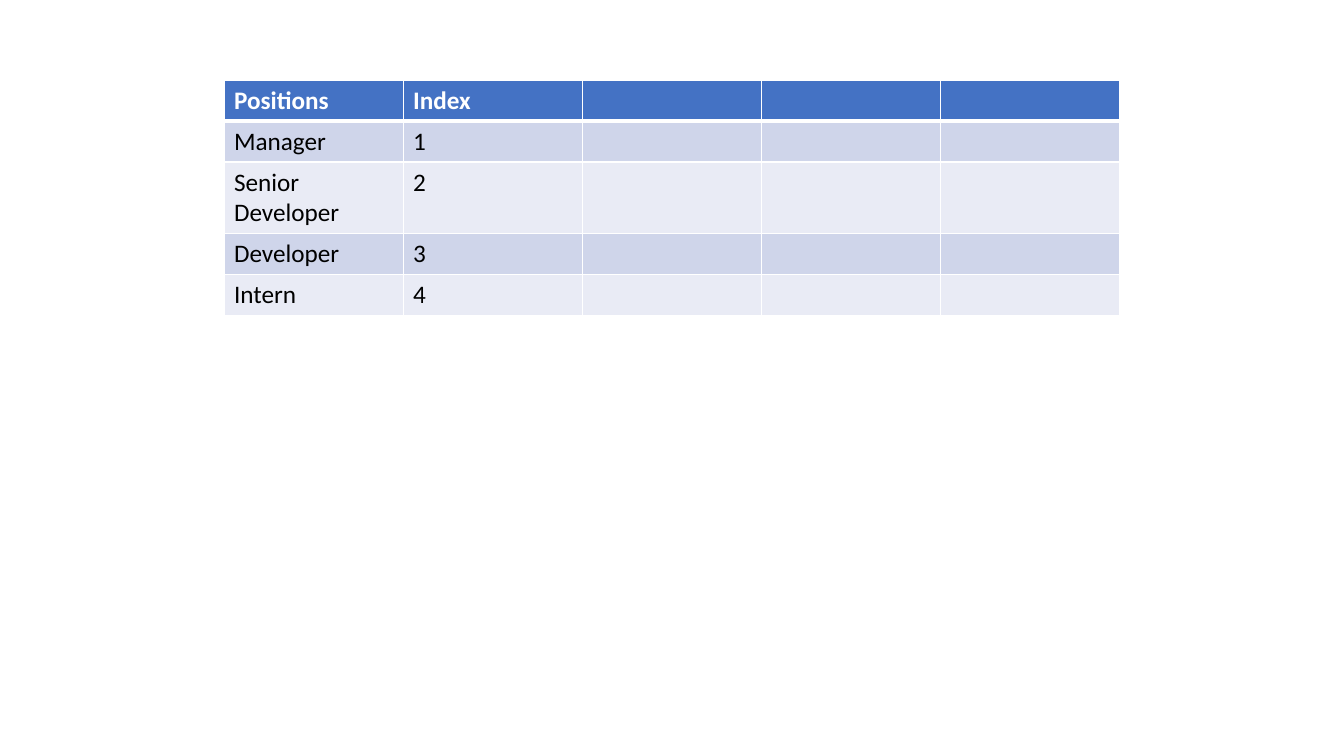
from dataclasses import dataclass

from lxml.etree import SubElement
from pptx import Presentation
from pptx.dml.color import RGBColor
from pptx.oxml.ns import qn
from pptx.util import Emu, Pt

POSITIONS = [
    ("Positions", "Index"),
    ("Manager", "1"),
    ("Senior Developer", "2"),
    ("Developer", "3"),
    ("Intern", "4"),
]
COLUMNS = 5

SLIDE_WIDTH, SLIDE_HEIGHT = 1344, 756
TABLE_LEFT, TABLE_TOP, TABLE_WIDTH = 224, 80, 896
ROW_HEIGHT = 41
EMU_PER_PX = 914400 / 100.8


@dataclass(frozen=True)
class Theme:
    font: str = "Calibri"
    size: int = 18
    header_fill: str = "4472C4"
    header_text: str = "FFFFFF"
    body_fills: tuple = ("CFD5EA", "E9EBF5")
    body_text: str = "000000"
    border: str = "FFFFFF"
    border_width: int = 1
    header_rule_width: int = 3


THEME = Theme()


def px(length):
    return Emu(round(length * EMU_PER_PX))


def set_borders(cell, top, bottom):
    """Draw all four cell borders; top and bottom are widths in points."""
    side = THEME.border_width
    properties = cell._tc.get_or_add_tcPr()
    for tag, width in (("lnL", side), ("lnR", side), ("lnT", top), ("lnB", bottom)):
        line = SubElement(properties, qn(f"a:{tag}"), w=str(Pt(width)))
        fill = SubElement(line, qn("a:solidFill"))
        SubElement(fill, qn("a:srgbClr"), val=THEME.border)


def style_cell(cell, row):
    is_header = row == 0
    rule, thin = THEME.header_rule_width, THEME.border_width
    set_borders(cell, rule if row == 1 else thin, rule if is_header else thin)

    fill = THEME.header_fill if is_header else THEME.body_fills[(row - 1) % 2]
    cell.fill.solid()
    cell.fill.fore_color.rgb = RGBColor.from_string(fill)

    font = cell.text_frame.paragraphs[0].font
    font.name = THEME.font
    font.size = Pt(THEME.size)
    font.bold = is_header
    text_color = THEME.header_text if is_header else THEME.body_text
    font.color.rgb = RGBColor.from_string(text_color)


def add_positions_table(slide):
    rows = len(POSITIONS)
    table = slide.shapes.add_table(
        rows, COLUMNS, px(TABLE_LEFT), px(TABLE_TOP),
        px(TABLE_WIDTH), px(rows * ROW_HEIGHT),
    ).table
    for column in table.columns:
        column.width = px(TABLE_WIDTH / COLUMNS)
    for row, entry in enumerate(POSITIONS):
        table.rows[row].height = px(ROW_HEIGHT)
        for column in range(COLUMNS):
            cell = table.cell(row, column)
            if column < len(entry):
                cell.text = entry[column]
            style_cell(cell, row)


def main():
    deck = Presentation()
    deck.slide_width, deck.slide_height = px(SLIDE_WIDTH), px(SLIDE_HEIGHT)
    slide = deck.slides.add_slide(deck.slide_layouts[6])
    add_positions_table(slide)
    deck.save("out.pptx")


if __name__ == "__main__":
    main()
